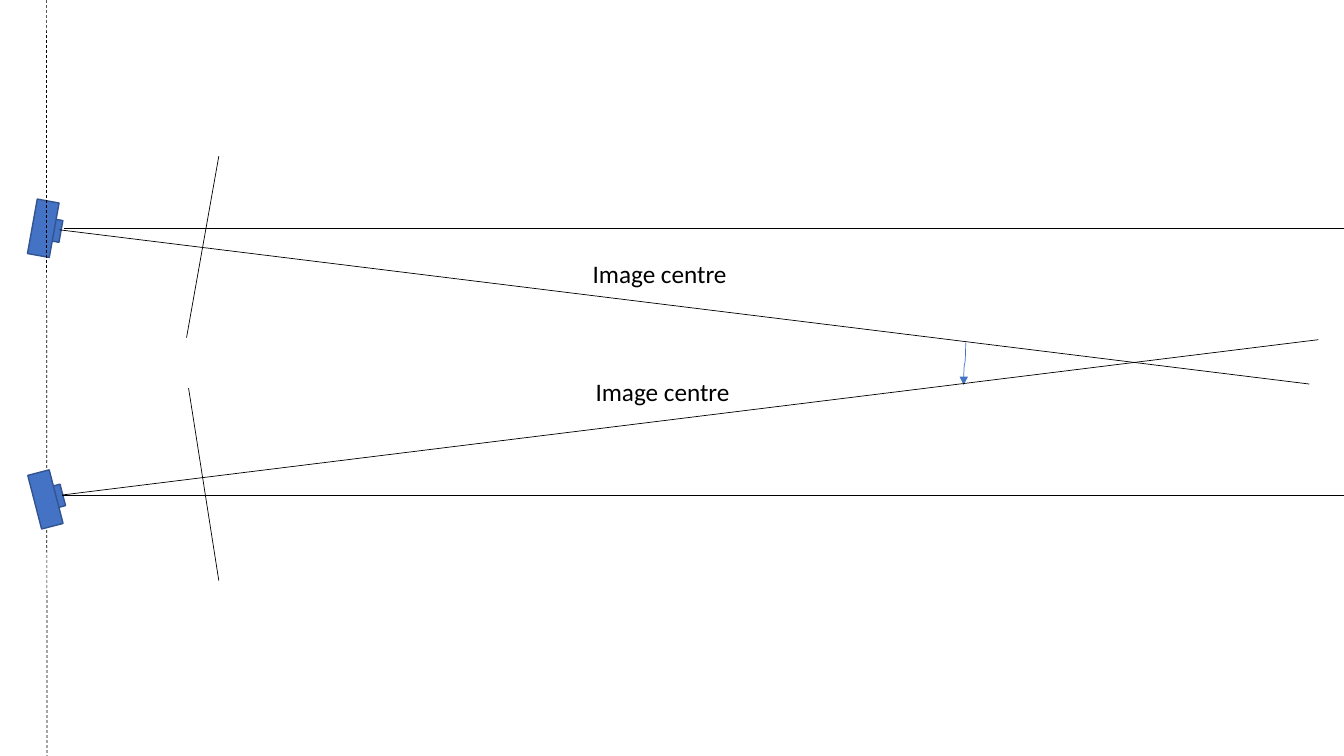
from dataclasses import dataclass
from math import cos, radians, sin

from lxml.etree import SubElement
from pptx import Presentation
from pptx.dml.color import RGBColor
from pptx.enum.dml import MSO_LINE
from pptx.enum.shapes import MSO_CONNECTOR as CONN, MSO_SHAPE as SHAPE
from pptx.enum.text import MSO_AUTO_SIZE as AUTO
from pptx.oxml.ns import qn
from pptx.util import Inches, Pt


@dataclass(frozen=True)
class Theme:
    font: str = "Calibri"
    text_size: float = 18
    thin: float = 0.5
    edge: float = 1
    ink: RGBColor = RGBColor(0, 0, 0)
    blue: RGBColor = RGBColor(0x44, 0x72, 0xC4)
    outline: RGBColor = RGBColor(0x32, 0x54, 0x91)


class Diagram:
    """Positions and sizes are percentages of the slide's width and height."""

    def __init__(self, prs, theme):
        self.theme = theme
        self.unit_x = prs.slide_width / 100
        self.unit_y = prs.slide_height / 100
        self.shapes = prs.slides.add_slide(prs.slide_layouts[6]).shapes

    def to_emu(self, x, y):
        return round(x * self.unit_x), round(y * self.unit_y)

    def style_line(self, line, color, kind=None):
        line.line.color.rgb = color
        line.line.width = Pt(self.theme.thin)
        if kind:
            line.line.dash_style = kind
        SubElement(line._element.spPr, qn("a:effectLst"))

    def line(self, start, end, dash=None):
        line = self.shapes.add_connector(
            CONN.STRAIGHT, *self.to_emu(*start), *self.to_emu(*end))
        self.style_line(line, self.theme.ink, dash)

    def curved_arrow_down(self, start, end):
        (x1, y1), (x2, y2) = self.to_emu(*start), self.to_emu(*end)
        mid_x, mid_y = (x1 + x2) // 2, (y1 + y2) // 2
        half_w, half_h = (y2 - y1) // 2, (x1 - x2) // 2
        arrow = self.shapes.add_connector(
            CONN.CURVE, mid_x - half_w, mid_y - half_h,
            mid_x + half_w, mid_y + half_h)
        arrow._element.spPr.find(qn("a:xfrm")).set("rot", str(90 * 60000))
        self.style_line(arrow, self.theme.blue)
        SubElement(arrow.line._get_or_add_ln(), qn("a:tailEnd"), type="triangle")

    def block(self, center_x, center_y, size, angle):
        w, h = self.to_emu(*size)
        sp = self.shapes.add_shape(
            SHAPE.RECTANGLE, round(center_x - w / 2), round(center_y - h / 2), w, h)
        sp.rotation = angle
        sp.shadow.inherit = False
        sp.fill.solid()
        sp.fill.fore_color.rgb = self.theme.blue
        sp.line.color.rgb = self.theme.outline
        sp.line.width = Pt(self.theme.edge)

    def camera(self, center, angle):
        x, y = self.to_emu(*center)
        reach = 0.78 * self.unit_x
        turn = radians(angle)
        self.block(x + reach * cos(turn), y + reach * sin(turn), (1.12, 2.93), angle)
        self.block(x, y, (1.65, 7.33), angle)

    def label(self, text, corner):
        sp = self.shapes.add_textbox(*self.to_emu(*corner), *self.to_emu(12, 5.33))
        tf = sp.text_frame
        tf.word_wrap = True
        tf.auto_size = AUTO.SHAPE_TO_FIT_TEXT
        tf.text = text
        font = tf.paragraphs[0].runs[0].font
        font.name = self.theme.font
        font.size = Pt(self.theme.text_size)
        font.color.rgb = self.theme.ink


def main():
    prs = Presentation()
    prs.slide_width, prs.slide_height = Inches(13.33), Inches(7.5)
    d = Diagram(prs, Theme())

    upper_lens, lower_lens = (4.43, 30.4), (4.65, 65.47)

    d.label("Image centre", (43.35, 33.47))
    d.line((16.28, 20.67), (13.88, 44.67))
    d.line((4.73, 30.27), (100, 30.27))
    d.camera((3.22, 30.2), 10.2)
    d.line((3.45, 0), (3.5, 100), MSO_LINE.DASH)
    d.line(upper_lens, (97.42, 50.8))
    d.curved_arrow_down((71.85, 45.33), (71.7, 50.93))
    d.camera((3.38, 66.07), 345.5)
    d.line(lower_lens, (98.1, 44.93))
    d.line((14.03, 51.33), (16.28, 76.8))
    d.line(lower_lens, (100, 65.47))
    d.label("Image centre", (43.57, 49.07))

    prs.save("out.pptx")


if __name__ == "__main__":
    main()
